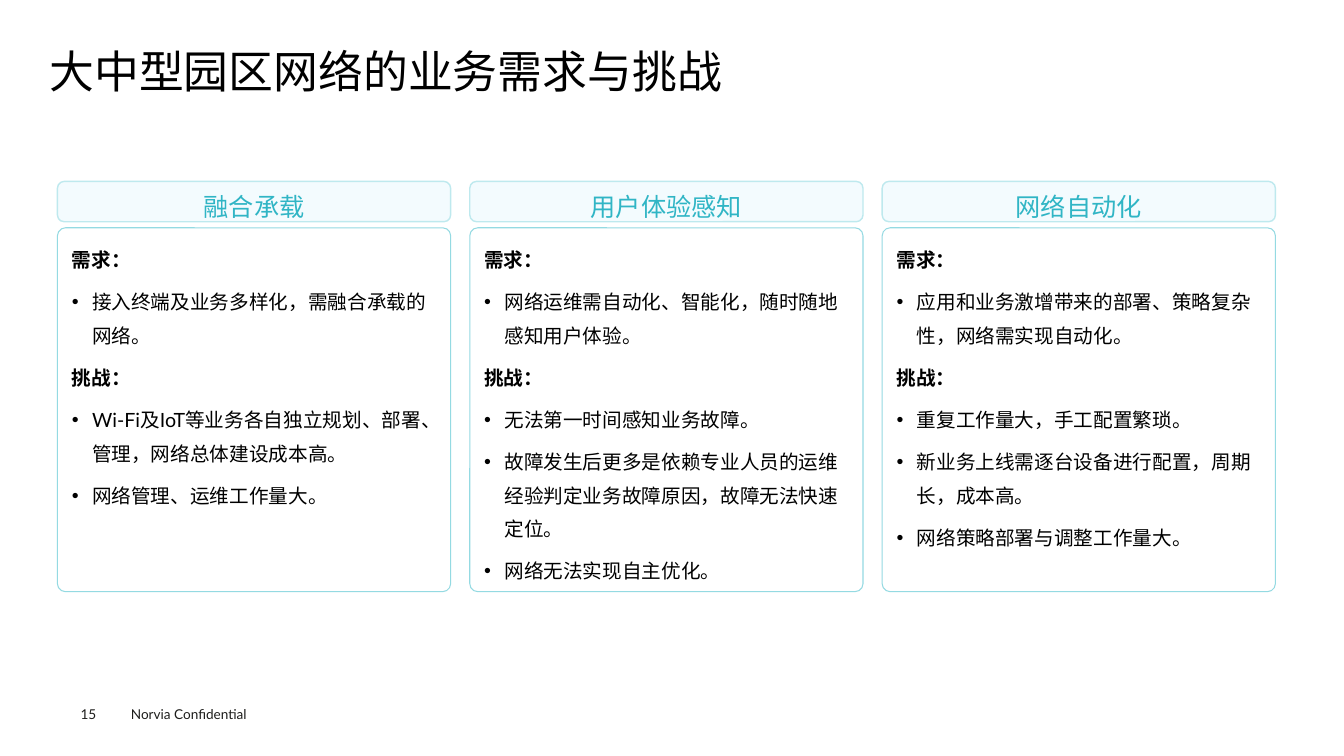
from dataclasses import dataclass

from lxml import etree
from pptx import Presentation
from pptx.dml.color import RGBColor
from pptx.enum.shapes import MSO_SHAPE
from pptx.enum.text import MSO_ANCHOR, PP_ALIGN
from pptx.oxml.ns import qn
from pptx.util import Inches, Pt

ROUNDED = MSO_SHAPE.ROUNDED_RECTANGLE
TOP, MIDDLE = MSO_ANCHOR.TOP, MSO_ANCHOR.MIDDLE
LEFT, CENTER = PP_ALIGN.LEFT, PP_ALIGN.CENTER


@dataclass(frozen=True)
class Theme:
    font: str = "Lato"
    ink: str = "000000"
    footer_ink: str = "1D1D1B"
    accent: str = "30B5C5"
    header_fill: str = "F3FBFE"
    header_line: str = "BEE9EE"
    panel_line: str = "94DAE2"
    title_size: float = 32
    header_size: float = 18
    body_size: float = 14
    footer_size: float = 9.7


THEME = Theme()

# Each column: heading, needs, challenges
COLUMNS = [
    ("融合承载",
     ["接入终端及业务多样化，需融合承载的网络。"],
     ["Wi-Fi及IoT等业务各自独立规划、部署、管理，网络总体建设成本高。",
      "网络管理、运维工作量大。"]),
    ("用户体验感知",
     ["网络运维需自动化、智能化，随时随地感知用户体验。"],
     ["无法第一时间感知业务故障。",
      "故障发生后更多是依赖专业人员的运维经验判定业务故障原因，故障无法快速定位。",
      "网络无法实现自主优化。"]),
    ("网络自动化",
     ["应用和业务激增带来的部署、策略复杂性，网络需实现自动化。"],
     ["重复工作量大，手工配置繁琐。",
      "新业务上线需逐台设备进行配置，周期长，成本高。",
      "网络策略部署与调整工作量大。"]),
]


def add_run(paragraph, text, size, color, bold=False):
    run = paragraph.add_run()
    run.text = text
    run.font.name = THEME.font
    run.font.size = Pt(size)
    run.font.bold = bold
    run.font.color.rgb = RGBColor.from_string(color)


def set_frame(shape, insets, anchor=TOP):
    frame = shape.text_frame
    frame.word_wrap = True
    frame.vertical_anchor = anchor
    (frame.margin_left, frame.margin_top,
     frame.margin_right, frame.margin_bottom) = map(Inches, insets)
    return frame


def add_label(slide, box, text, size, color, insets=(0, 0, 0, 0), spacing=1.0):
    shape = slide.shapes.add_textbox(*map(Inches, box))
    paragraph = set_frame(shape, insets).paragraphs[0]
    paragraph.line_spacing = spacing
    add_run(paragraph, text, size, color)


def add_rounded_box(slide, box, line, width, fill=None):
    shape = slide.shapes.add_shape(ROUNDED, *map(Inches, box))
    shape.shadow.inherit = False
    if fill:
        shape.fill.solid()
        shape.fill.fore_color.rgb = RGBColor.from_string(fill)
    else:
        shape.fill.background()
    shape.line.color.rgb = RGBColor.from_string(line)
    shape.line.width = Pt(width)
    return shape


def add_bullet(paragraph):
    properties = paragraph._p.get_or_add_pPr()
    properties.set("marL", str(Inches(0.2)))
    properties.set("indent", str(Inches(-0.2)))
    etree.SubElement(properties, qn("a:buFont")).set("typeface", "Arial")
    etree.SubElement(properties, qn("a:buChar")).set("char", "•")


def add_column(slide, box, heading, needs, challenges):
    left, top, width, height = box
    header_height, gap = 0.4, 0.06

    # Heading bar
    header = add_rounded_box(slide, (left, top, width, header_height),
                             THEME.header_line, 1, THEME.header_fill)
    paragraph = set_frame(header, (0.1, 0, 0.1, 0.05), MIDDLE).paragraphs[0]
    paragraph.alignment = CENTER
    paragraph.line_spacing = 1.5
    add_run(paragraph, heading, THEME.header_size, THEME.accent)

    # Panel with both lists
    offset = header_height + gap
    panel = add_rounded_box(slide, (left, top + offset, width, height - offset),
                            THEME.panel_line, 0.75)
    panel.adjustments[0] = 0.022
    frame = set_frame(panel, (0.12, 0.08, 0.12, 0.08))
    lines = [("需求：", True), *((text, False) for text in needs),
             ("挑战：", True), *((text, False) for text in challenges)]
    for index, (text, is_label) in enumerate(lines):
        paragraph = frame.add_paragraph() if index else frame.paragraphs[0]
        if not is_label:
            add_bullet(paragraph)
        paragraph.alignment = LEFT
        paragraph.line_spacing = Pt(24)
        paragraph.space_after = Pt(6)
        add_run(paragraph, text, THEME.body_size, THEME.ink, is_label)


def add_columns(slide, box):
    left, top, width, height = box
    gap = 0.19
    column_width = (width - gap * (len(COLUMNS) - 1)) / len(COLUMNS)
    for index, column in enumerate(COLUMNS):
        column_left = left + index * (column_width + gap)
        add_column(slide, (column_left, top, column_width, height), *column)


def add_footer(slide, box):
    left, top, width, height = box
    add_label(slide, (left, top + 0.05, 0.4, 0.16), "15",
              THEME.footer_size, THEME.footer_ink)
    add_label(slide, (left + 0.4, top, width - 0.4, height), "Norvia Confidential",
              THEME.footer_size, THEME.footer_ink, (0.1, 0.05, 0.1, 0.05))


def main():
    presentation = Presentation()
    presentation.slide_width = Inches(13.33)
    presentation.slide_height = Inches(7.5)
    slide = presentation.slides.add_slide(presentation.slide_layouts[6])
    add_footer(slide, (0.8, 6.95, 2, 0.27))
    add_label(slide, (0.49, 0.49, 12.35, 0.54), "大中型园区网络的业务需求与挑战",
              THEME.title_size, THEME.ink, spacing=0.9)
    add_columns(slide, (0.57, 1.8, 12.08, 4.07))
    presentation.save("out.pptx")


if __name__ == "__main__":
    main()
